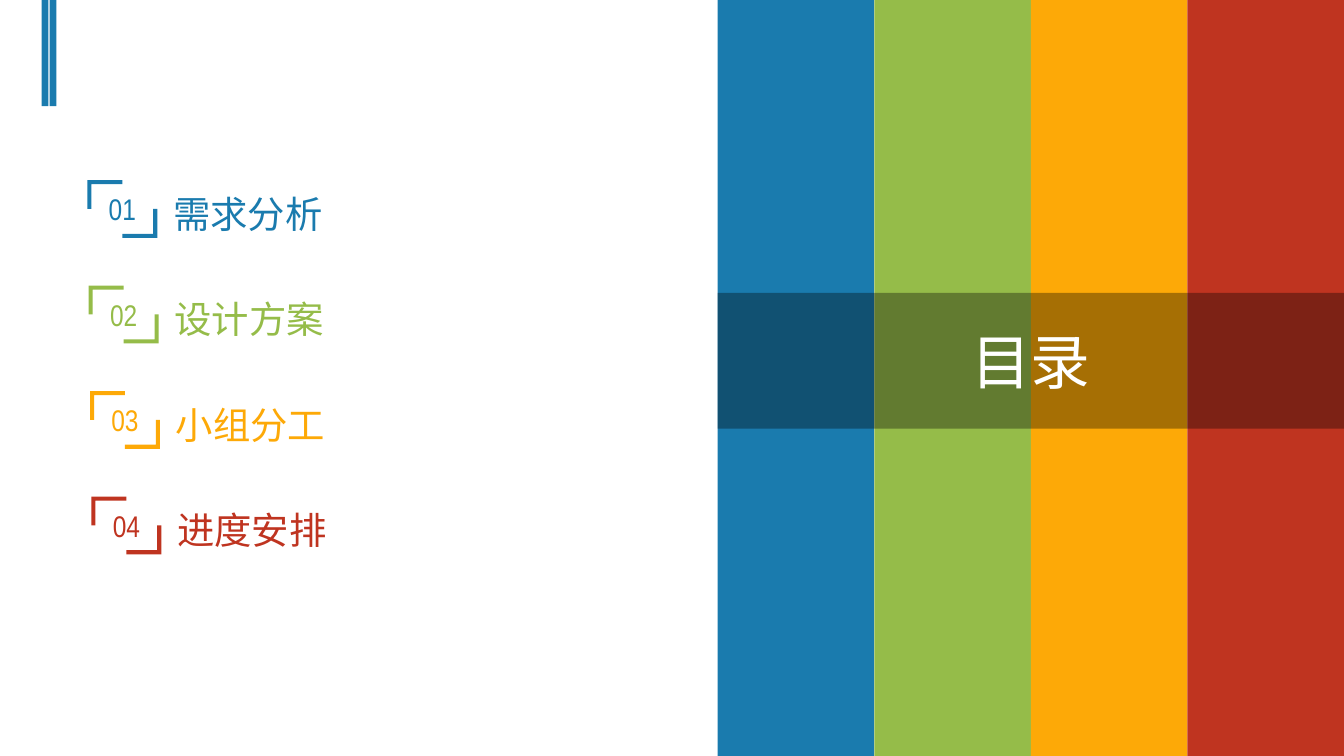
from lxml import etree
from pptx import Presentation
from pptx.dml.color import RGBColor
from pptx.enum.shapes import MSO_SHAPE
from pptx.enum.text import MSO_ANCHOR, MSO_AUTO_SIZE, PP_ALIGN
from pptx.oxml.ns import qn
from pptx.util import Inches, Pt

RECTANGLE = MSO_SHAPE.RECTANGLE
TOP, MIDDLE = MSO_ANCHOR.TOP, MSO_ANCHOR.MIDDLE
LEFT, CENTER = PP_ALIGN.LEFT, PP_ALIGN.CENTER
NO_AUTOFIT = MSO_AUTO_SIZE.NONE

BLUE = RGBColor(0x1A, 0x7B, 0xAE)
GREEN = RGBColor(0x95, 0xBC, 0x49)
ORANGE = RGBColor(0xFD, 0xA9, 0x07)
RED = RGBColor(0xBF, 0x34, 0x20)
BLACK = RGBColor(0, 0, 0)
WHITE = RGBColor(0xFF, 0xFF, 0xFF)
PALETTE = [BLUE, GREEN, ORANGE, RED]

SLIDE_WIDTH = 10
SLIDE_HEIGHT = SLIDE_WIDTH * 9 / 16
SECTIONS = ["需求分析", "设计方案", "小组分工", "进度安排"]


def write_text(shape, text, size, color, font="Arial", align=LEFT, anchor=TOP):
    frame = shape.text_frame
    frame.word_wrap = True
    frame.auto_size = NO_AUTOFIT
    frame.vertical_anchor = anchor
    paragraph = frame.paragraphs[0]
    paragraph.alignment = align
    run = paragraph.add_run()
    run.text = text
    run.font.name = font
    run.font.size = Pt(size)
    run.font.color.rgb = color


def paint(shape, color):
    shape.shadow.inherit = False
    shape.fill.solid()
    shape.fill.fore_color.rgb = color
    shape.line.fill.background()


def add_bar(slide, left, top, width, height, color):
    bar = slide.shapes.add_shape(
        RECTANGLE, Inches(left), Inches(top), Inches(width), Inches(height))
    paint(bar, color)


def add_corner_marks(slide, left, top):
    for offset in (0, 0.06):
        add_bar(slide, left + offset, top, 0.05, 0.79, BLUE)


def add_bracket(slide, left, top, width, height, color):
    thickness = 0.03
    middle_x, middle_y = width / 2, height / 2
    upper = [(0, 0), (middle_x, 0), (middle_x, thickness),
             (thickness, thickness), (thickness, middle_y), (0, middle_y)]
    lower = [(width - x, height - y) for x, y in upper]
    upper, lower = [
        [(Inches(left + x), Inches(top + y)) for x, y in corner]
        for corner in (upper, lower)]
    builder = slide.shapes.build_freeform(*upper[0])
    builder.add_line_segments(upper[1:], close=True)
    builder.move_to(*lower[0])
    builder.add_line_segments(lower[1:], close=True)
    bracket = builder.convert_to_shape()
    paint(bracket, color)
    return bracket


def add_agenda(slide, left, top, height):
    row_step = height / len(SECTIONS)
    for index, (section, color) in enumerate(zip(SECTIONS, PALETTE)):
        row_left = left + 0.01 * index
        row_top = top + row_step * index
        label = slide.shapes.add_textbox(
            Inches(row_left + 0.54), Inches(row_top + 0.03), Inches(3.98), Inches(0.44))
        write_text(label, section, 20, color)
        bracket = add_bracket(slide, row_left, row_top, 0.52, 0.43, color)
        write_text(bracket, f"{index + 1:02d}", 16, color,
                   font="Arial Narrow", align=CENTER, anchor=MIDDLE)


def add_title_panel(slide, left, top, width, height):
    stripe_width = width / len(PALETTE)
    for index, color in enumerate(PALETTE):
        add_bar(slide, left + stripe_width * index, top, stripe_width, height, color)

    title = slide.shapes.title
    title.left, title.top = Inches(left), Inches(top + 2.18)
    title.width, title.height = Inches(width), Inches(1.01)
    paint(title, BLACK)
    fill_color = title.element.spPr.find(qn("a:solidFill"))[0]
    etree.SubElement(fill_color, qn("a:alpha")).set("val", "34000")
    write_text(title, "目录", 32, WHITE, font="Arial Narrow", align=CENTER, anchor=MIDDLE)
    slide.shapes.element.append(title.element)


def main():
    presentation = Presentation()
    presentation.slide_width = Inches(SLIDE_WIDTH)
    presentation.slide_height = Inches(SLIDE_HEIGHT)
    slide = presentation.slides.add_slide(presentation.slide_layouts[5])
    add_corner_marks(slide, 0.31, 0)
    add_agenda(slide, 0.65, 1.34, 3.14)
    add_title_panel(slide, 5.34, 0, SLIDE_WIDTH - 5.34, SLIDE_HEIGHT)
    presentation.save("out.pptx")


if __name__ == "__main__":
    main()
